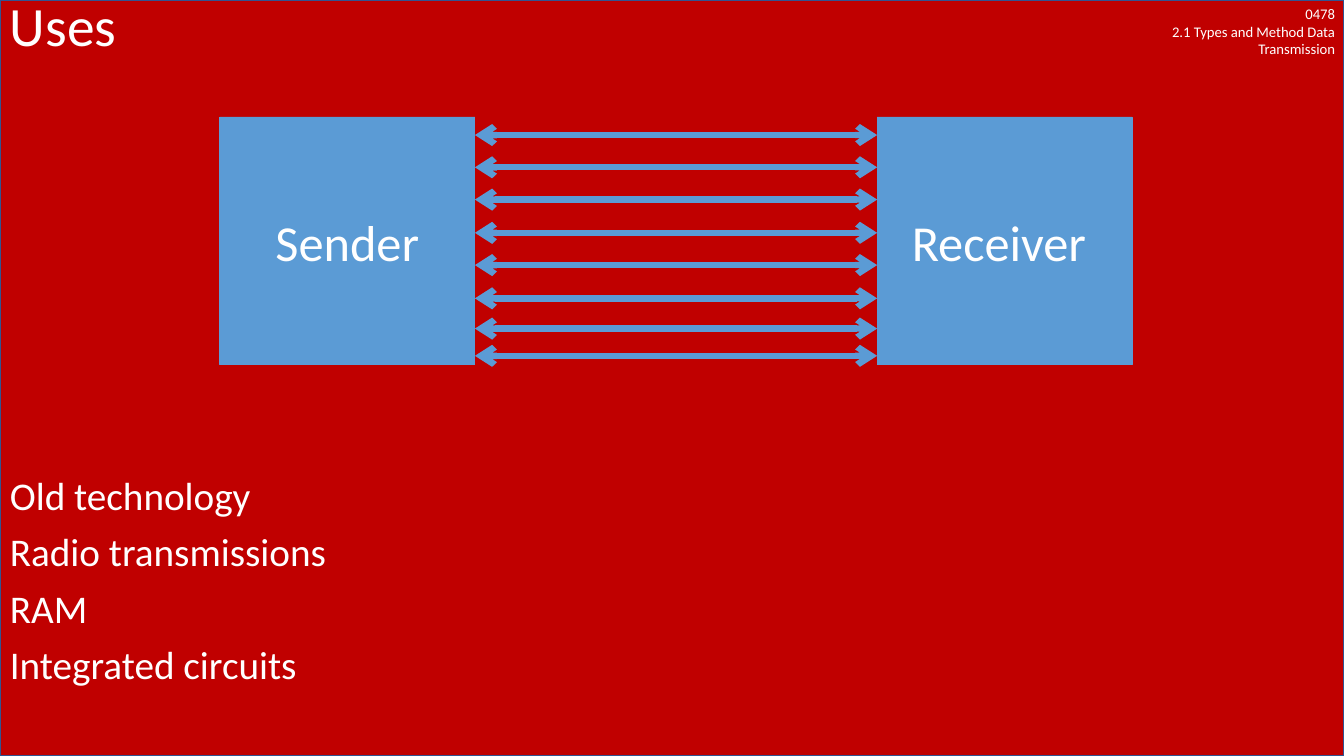
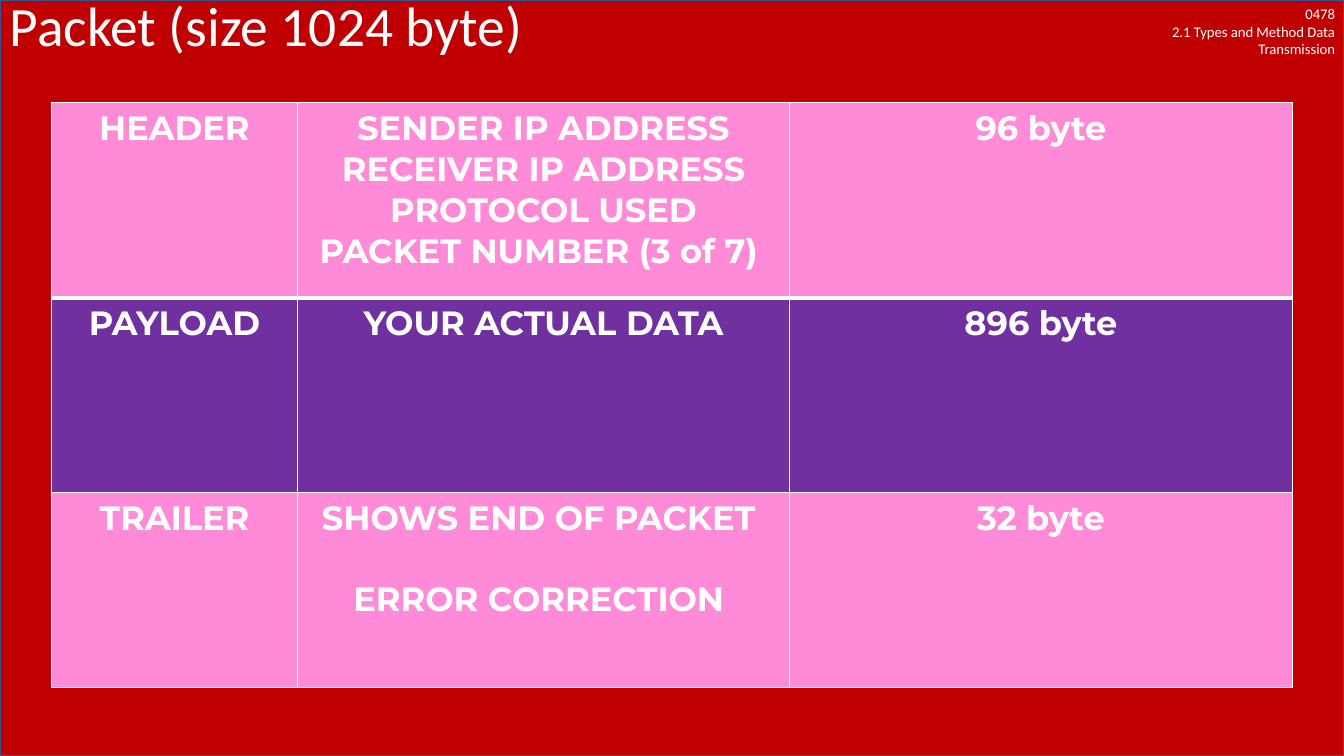
import pptx
import pptx.dml.color
import pptx.enum.shapes
import pptx.enum.text
import pptx.oxml.ns
import pptx.util
from lxml import etree

PX = 9144  # EMU per px, 100 px to the inch
WIDE, HIGH = 1333, 750
FONT = "Calibri"
COLORS = {"red": "C00000", "edge": "325491", "blue": "5B9BD5",
          "white": "FFFFFF", "pink": "FF8AD8", "purple": "7030A0"}
ALIGN = pptx.enum.text.PP_ALIGN
ANCHOR = pptx.enum.text.MSO_ANCHOR


def px(*sizes):
    return [pptx.util.Emu(size * PX) for size in sizes]


def paint(fill, color):
    fill.solid()
    fill.fore_color.rgb = pptx.dml.color.RGBColor.from_string(COLORS[color])


def child(parent, tag, **attrs):
    return etree.SubElement(parent, pptx.oxml.ns.qn(tag), attrs)


def write(frame, *lines, size, font=FONT, bold=False, align=ALIGN.LEFT,
          anchor=ANCHOR.TOP, gap=0, lead=1.0):
    """Fill a text frame, one paragraph per line."""
    frame.word_wrap = True
    frame.vertical_anchor = anchor
    for i, line in enumerate(lines):
        para = frame.add_paragraph() if i else frame.paragraphs[0]
        para.text = line
        para.alignment = align
        para.line_spacing = lead
        para.space_before = pptx.util.Pt(gap if i else 0)
        para.font.name = font
        para.font.size = pptx.util.Pt(size)
        para.font.bold = bold
        paint(para.font.fill, "white")


def label(slide, box, *lines, **style):
    write(slide.shapes.add_textbox(*px(*box)).text_frame, *lines, **style)


def block(slide, box, fill, edge, width):
    kind = pptx.enum.shapes.MSO_SHAPE.RECTANGLE
    shape = slide.shapes.add_shape(kind, *px(*box))
    shape.shadow.inherit = False
    paint(shape.fill, fill)
    paint(shape.line.fill, edge)
    shape.line.width = pptx.util.Pt(width)
    return shape


def arrow(slide, left, right, y):
    """Draw a level line with a head at each end."""
    kind = pptx.enum.shapes.MSO_CONNECTOR.STRAIGHT
    line = slide.shapes.add_connector(kind, *px(left, y, right, y))
    paint(line.line.fill, "blue")
    line.line.width = pptx.util.Pt(4.5)
    props = line.line._get_or_add_ln()
    for end in ("a:headEnd", "a:tailEnd"):
        child(props, end, type="arrow")
    child(line._element.spPr, "a:effectLst")


def edges(cell, **widths):
    """Set white cell borders, widths in points."""
    props = cell._tc.get_or_add_tcPr()
    for side in "LRTB":
        width = pptx.util.Pt(widths.get(side, 1))
        line = child(props, "a:ln" + side, w=str(width))
        child(child(line, "a:solidFill"), "a:srgbClr", val=COLORS["white"])


def grid(slide, box, cols, rows):
    shape = slide.shapes.add_table(len(rows), len(cols), *px(*box))
    table = shape.table
    table.first_row = table.horz_banding = False
    for col, width in zip(table.columns, px(*cols)):
        col.width = width
    for r, (fill, gap, cells) in enumerate(rows):
        for c, lines in enumerate(cells):
            cell = table.cell(r, c)
            # A thick rule parts the first row from the rest
            edges(cell, T=3 if r == 1 else 1, B=3 if r == 0 else 1)
            paint(cell.fill, fill)
            write(cell.text_frame, *lines, size=24, font="Montserrat",
                  bold=True, align=ALIGN.CENTER, gap=gap)


def page(deck, title):
    """Add a slide with the shared backdrop, course note and title."""
    slide = deck.slides.add_slide(deck.slide_layouts[6])
    block(slide, (0, 0, WIDE, HIGH), "red", "edge", 1)
    label(slide, (1124, 0, 210, 63),
          "0478\n2.1 Types and Method Data Transmission",
          size=10.5, align=ALIGN.RIGHT)
    label(slide, (0, 0, WIDE, 57), title, size=39.6, lead=0.9,
          anchor=ANCHOR.MIDDLE)
    return slide


def uses(deck):
    slide = page(deck, "Uses")
    label(slide, (0, 468, WIDE, 282), "Old technology", "Radio transmissions",
          "RAM", "Integrated circuits", size=28, gap=10, lead=0.9)
    # Two ends joined by eight parallel wires
    side, left, right = 253, 218, 870
    for x, name in ((right, "Receiver "), (left, "Sender")):
        shape = block(slide, (x, 116, side, 246), "blue", "blue", 0.5)
        write(shape.text_frame, name, size=36, align=ALIGN.CENTER,
              anchor=ANCHOR.MIDDLE)
    for y in (134, 166, 198, 231, 263, 296, 326, 353):
        arrow(slide, left + side, right, y)


def packet(deck):
    slide = page(deck, "Packet (size 1024 byte)")
    # Each row: fill, space between lines, cells
    rows = (
        ("pink", 0, (["HEADER"],
                     ["SENDER IP ADDRESS", "RECEIVER IP ADDRESS",
                      "PROTOCOL USED", "PACKET NUMBER (3 of 7) "],
                     ["96 byte"])),
        ("purple", 0, (["PAYLOAD"], ["YOUR ACTUAL DATA"], ["896 byte"])),
        ("pink", 29, (["TRAILER"],
                      ["SHOWS END OF PACKET ", "ERROR CORRECTION "],
                      ["32 byte"])),
    )
    grid(slide, (51, 102, 1232, 580), (244, 488, 499), rows)


def main():
    deck = pptx.Presentation()
    deck.slide_width, deck.slide_height = px(WIDE, HIGH)
    uses(deck)
    packet(deck)
    deck.save("out.pptx")


if __name__ == "__main__":
    main()
